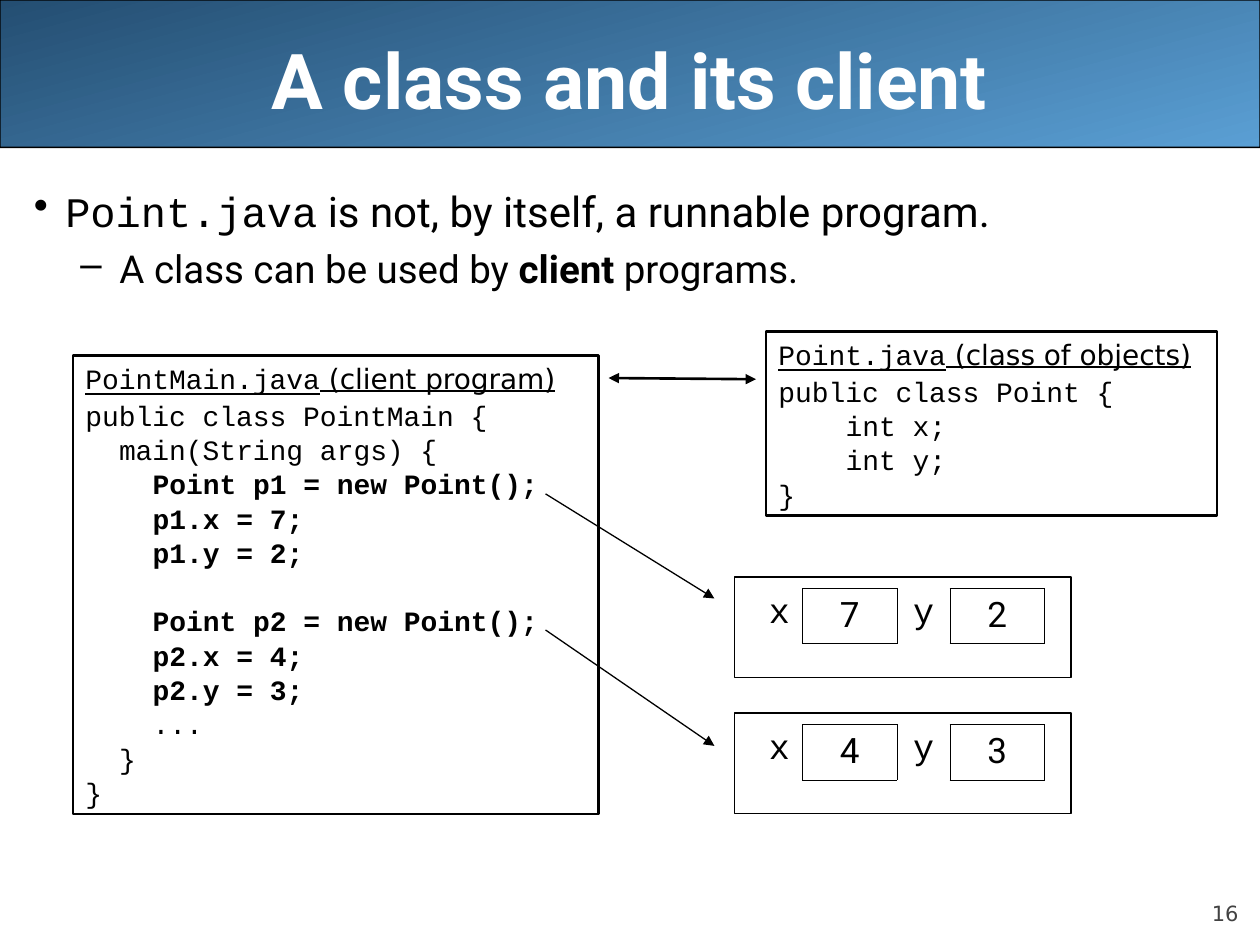
from pptx import Presentation, util as u
from pptx.dml.color import RGBColor
from pptx.enum import shapes, text
from pptx.oxml import ns, xmlchemy

BLACK = RGBColor(0, 0, 0)
WHITE = RGBColor(255, 255, 255)
GRAY = RGBColor(0x42, 0x42, 0x42)
NAVY = RGBColor(0x24, 0x4E, 0x72)
SKY = RGBColor(0x5A, 0x9F, 0xD4)
CODE, BODY, SANS = "Courier New", "Roboto", "DejaVu Sans"
CHARACTER_WIDTH = 16 * 0.6 / 72

CLIENT_CODE = [
    (0, "public class PointMain {", False, 10),
    (2, "main(String args) {", False, 10),
    (4, "Point p1 = new Point();", True, 10),
    (4, "p1.x = 7;", True, 10),
    (4, "p1.y = 2;", True, 10),
    (4, "Point p2 = new Point();", True, 29.6),
    (4, "p2.x = 4;", True, 10),
    (4, "p2.y = 3;", True, 10),
    (4, "...", False, 10),
    (2, "}", False, 10),
    (0, "}", False, 10),
]
CLASS_CODE = [
    (0, "public class Point {", False, 10),
    (4, "int x;", False, 10),
    (4, "int y;", False, 10),
    (0, "}", False, 10),
]


def inches(*values):
    return [u.Inches(value) for value in values]


def add_child(parent, tag, **attributes):
    child = xmlchemy.OxmlElement(tag)
    for name, value in attributes.items():
        child.set(name, str(value))
    parent.append(child)
    return child


def add_span(para, words, font, size, color=BLACK, bold=False, underline=False):
    span = para.add_run()
    span.text = words
    span.font.name = font
    span.font.size = u.Pt(size)
    span.font.color.rgb = color
    span.font.bold = bold
    span.font.underline = underline


def add_box(page, bounds, width, kind=shapes.MSO_SHAPE.RECTANGLE):
    box = page.shapes.add_shape(kind, *inches(*bounds))
    box.shadow.inherit = False
    box.fill.background()
    box.line.color.rgb = BLACK
    box.line.width = u.Pt(width)
    return box


def add_header(page, bounds):
    title = page.shapes.title
    banner = add_box(page, bounds, 0.75, shapes.MSO_SHAPE.ROUNDED_RECTANGLE)
    banner.adjustments[0] = 0.001
    banner.fill.gradient()
    banner.fill.gradient_angle = 285
    for stop, color in zip(banner.fill.gradient_stops, (NAVY, SKY)):
        stop.color.rgb = color
    title.element.addprevious(banner.element)

    title.left, title.top, title.width, title.height = inches(0.5, 0, 9, 1.25)
    title.text_frame.vertical_anchor = text.MSO_ANCHOR.MIDDLE
    para = title.text_frame.paragraphs[0]
    para.alignment = text.PP_ALIGN.CENTER
    add_span(para, "A class and its client", BODY, 44, WHITE, bold=True)


def add_bullet(para, mark, left, hanging, before):
    para.space_before = u.Pt(before)
    properties = para._p.get_or_add_pPr()
    properties.set("marL", str(u.Inches(left)))
    properties.set("indent", str(-u.Inches(hanging)))
    add_child(properties, "a:buChar", char=mark)


def add_points(page, bounds):
    frame = page.shapes.add_textbox(*inches(*bounds)).text_frame
    frame.word_wrap = True
    para = frame.paragraphs[0]
    add_bullet(para, "•", 0.25, 0.25, 6)
    add_span(para, "Point.java", CODE, 24)
    add_span(para, " is not, by itself, a runnable program.", BODY, 24)
    para = frame.add_paragraph()
    add_bullet(para, "–", 0.68, 0.31, 5.5)
    add_span(para, "A class can be used by ", BODY, 22)
    add_span(para, "client", BODY, 22, bold=True)
    add_span(para, " programs.", BODY, 22)


def add_code(page, bounds, name, role, lines):
    frame = add_box(page, bounds, 1.5).text_frame
    frame.word_wrap = True
    frame.vertical_anchor = text.MSO_ANCHOR.TOP
    para = frame.paragraphs[0]
    para.alignment = text.PP_ALIGN.LEFT
    para.space_before = u.Pt(10)
    add_span(para, name, CODE, 16, underline=True)
    add_span(para, f" ({role})", SANS, 16, underline=True)
    for indent, words, bold, before in lines:
        para = frame.add_paragraph()
        para.alignment = text.PP_ALIGN.LEFT
        para.line_spacing = 0.5
        para.space_before = u.Pt(before)
        para._p.get_or_add_pPr().set("marL", str(u.Inches(indent * CHARACTER_WIDTH)))
        add_span(para, words, CODE, 16, bold=bold)


def set_borders(cell, sides):
    properties = cell._tc.get_or_add_tcPr()
    for side in "LRTB":
        border = add_child(properties, f"a:ln{side}", w=u.Pt(0.45))
        if side in sides:
            fill = add_child(border, "a:solidFill")
            add_child(fill, "a:srgbClr", val=BLACK)
        else:
            add_child(border, "a:noFill")


def add_point_object(page, bounds, x, y):
    left, top, width, height = bounds
    add_box(page, bounds, 0.75)
    place = inches(left + 0.17, top + 0.09, 2.28, 0.44)
    table = page.shapes.add_table(1, 4, *place).table
    table.first_row = table.horz_banding = False
    for column, size in zip(table.columns, (0.37, 0.75, 0.42, 0.75)):
        column.width = u.Inches(size)
    fields = [("x", CODE, "R"), (x, BODY, "LRTB"), ("y", CODE, "LR"), (y, BODY, "LRTB")]
    for cell, (words, font, sides) in zip(table.rows[0].cells, fields):
        set_borders(cell, sides)
        cell.fill.background()
        para = cell.text_frame.paragraphs[0]
        para.alignment = text.PP_ALIGN.CENTER
        para.space_before = u.Pt(5)
        add_span(para, words, font, 20)


def add_arrow(page, ends, width, both=False):
    arrow = page.shapes.add_connector(shapes.MSO_CONNECTOR.STRAIGHT, *inches(*ends))
    arrow.line.color.rgb = BLACK
    arrow.line.width = u.Pt(width)
    properties = arrow.element.spPr
    line = properties.find(ns.qn("a:ln"))
    if both:
        add_child(line, "a:headEnd", type="triangle")
    add_child(line, "a:tailEnd", type="triangle")
    add_child(properties, "a:effectLst")


def add_page_number(page, bounds):
    frame = page.shapes.add_textbox(*inches(*bounds)).text_frame
    frame.word_wrap = True
    frame.vertical_anchor = text.MSO_ANCHOR.BOTTOM
    frame.margin_left = frame.margin_right = frame.margin_top = frame.margin_bottom = 0
    para = frame.paragraphs[0]
    para.alignment = text.PP_ALIGN.RIGHT
    add_span(para, "16", SANS, 12, GRAY)


def main():
    deck = Presentation()
    deck.slide_width, deck.slide_height = inches(10, 7.5)
    page = deck.slides.add_slide(deck.slide_layouts[5])
    add_header(page, (0, 0, 10, 1.17))
    add_page_number(page, (9, 6.95, 0.83, 0.4))
    add_points(page, (0.17, 1.42, 9.83, 5.67))
    add_code(page, (0.58, 2.82, 4.17, 3.64), "PointMain.java", "client program", CLIENT_CODE)
    add_code(page, (6.08, 2.63, 3.58, 1.46), "Point.java", "class of objects", CLASS_CODE)
    add_point_object(page, (5.83, 4.58, 2.67, 0.8), "7", "2")
    add_point_object(page, (5.83, 5.66, 2.67, 0.8), "4", "3")
    add_arrow(page, (4.83, 3, 6, 3.01), 1.5, both=True)
    add_arrow(page, (4.33, 3.92, 5.67, 4.75), 0.75)
    add_arrow(page, (4.33, 5, 5.67, 5.92), 0.75)
    deck.save("out.pptx")


if __name__ == "__main__":
    main()
